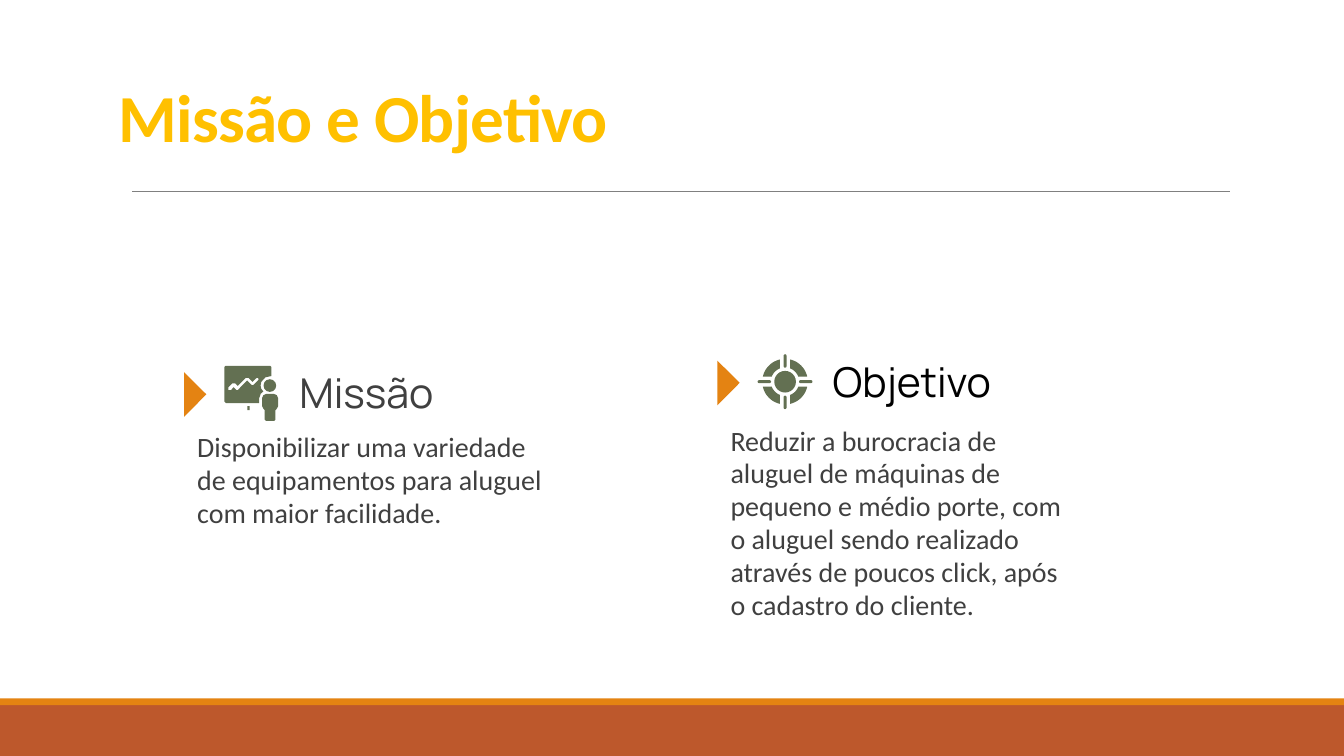
from math import asin, cos, pi, sin

from lxml.etree import SubElement
from pptx import Presentation
from pptx.dml.color import RGBColor
from pptx.enum.shapes import MSO_CONNECTOR as Link, MSO_SHAPE as Kind
from pptx.enum.text import MSO_ANCHOR as Anchor, MSO_AUTO_SIZE as Fit, PP_ALIGN as Align
from pptx.oxml.ns import qn
from pptx.util import Pt

WIDE, HIGH = 720, 405
HUES = {
    "title": "FFC000", "text": "404040", "black": "000000", "rule": "808080",
    "band": "BD582C", "accent": "E48312", "icon": "637052",
}

# Outlines in points, from the top left of the icon
BOARD = [
    (0, 0.7), (0.7, 0), (24.5, 0), (25.2, 0.7), (25.2, 5.5), (22, 6.2),
    (19.8, 8.6), (19.4, 10.6), (19.8, 12.4), (20.9, 13.7), (19.5, 15),
    (18.7, 17.3), (18.7, 20), (0.9, 20), (0, 19.2),
]
CURVE = [
    (18, 7.9), (15.8, 10.1), (15.1, 10.5), (14.4, 10.1), (12.2, 7.9), (7.2, 13),
    (6.5, 13), (5, 11.5), (3.6, 13), (2.2, 13), (2.2, 11.5), (4.3, 9.4),
    (5.8, 9.4), (7.2, 10.8), (11.5, 6.5), (13, 6.5), (15.1, 8.6), (17.3, 6.5),
    (18, 6.5), (18.4, 7.2),
]
HALF = [
    (2.2, 15.1), (3.6, 15.8), (4.3, 17.3), (4.3, 21.6), (3.6, 23),
    (2.9, 23.8), (2.9, 28.8), (2.2, 29.5),
]
BODY = [(24.5 + x, y) for x, y in HALF] + [(24.5 - x, y) for x, y in reversed(HALF)]


def color(name):
    return RGBColor.from_string(HUES[name])


def paint(shape, hue):
    shape.shadow.inherit = False
    shape.fill.solid()
    shape.fill.fore_color.rgb = color(hue)
    shape.line.fill.background()
    return shape


def block(slide, kind, box, hue):
    return paint(slide.shapes.add_shape(kind, *map(Pt, box)), hue)


def outline(slide, x, y, rings, hue):
    """Draw closed rings as one shape; an inner ring is a hole."""
    rings = [[(Pt(x + a), Pt(y + b)) for a, b in ring] for ring in rings]
    pen = slide.shapes.build_freeform(*rings[0][0])
    for i, ring in enumerate(rings):
        if i:
            pen.move_to(*ring[0])
        pen.add_line_segments(ring[1:], close=True)
    return paint(pen.convert_to_shape(), hue)


def write(frame, text, size, font, hue, bold=False):
    frame.word_wrap = True
    frame.auto_size = Fit.NONE
    frame.margin_left = frame.margin_right = frame.margin_top = Pt(7.2)
    para = frame.paragraphs[0]
    para.alignment = Align.LEFT
    run = para.add_run()
    run.text = text
    run.font.size, run.font.name, run.font.bold = Pt(size), font, bold
    run.font.color.rgb = color(hue)
    return run


def label(slide, box, text, size, font, hue, anchor=Anchor.TOP):
    frame = slide.shapes.add_textbox(*map(Pt, box)).text_frame
    write(frame, text, size, font, hue)
    frame.margin_bottom = 0
    frame.vertical_anchor = anchor
    return frame


def footer(slide, top):
    block(slide, Kind.RECTANGLE, (0, top + 3.6, WIDE, HIGH - top - 3.6), "band")
    block(slide, Kind.RECTANGLE, (0, top, WIDE, 3.6), "accent")


def header(slide, x, y, w, h):
    title = slide.shapes.title
    title.left, title.top, title.width, title.height = map(Pt, (x, y, w, h))
    frame = title.text_frame
    run = write(frame, "Missão e Objetivo", 36, "Calibri", "title", True)
    run.font._element.set("spc", "-40")
    frame.margin_bottom = Pt(7.2)
    frame.vertical_anchor = Anchor.TOP
    ends = (x + 14.6, y + 69.4, x + 602.8, y + 69.4)
    rule = slide.shapes.add_connector(Link.STRAIGHT, *map(Pt, ends))
    rule.line.color.rgb = color("rule")
    rule.line.width = Pt(0.5)
    SubElement(rule._element.spPr, qn("a:effectLst"))


def speaker(slide, x, y):
    """Person in front of a board."""
    outline(slide, x, y, [BOARD, CURVE], "icon")
    outline(slide, x, y, [BODY], "icon")
    block(slide, Kind.OVAL, (x + 21, y + 7.2, 6.8, 6.8), "icon")
    block(slide, Kind.RECTANGLE, (x + 12.4, y + 21.6, 1.2, 2.2), "icon")


def target(slide, x, y):
    """Disc, four ring sectors and four rays."""
    mid, disc, gap, ray, thick = 14.7, 5.8, 2.7, 7.2, 1.6
    cx, cy = x + mid, y + mid

    def arc(radius, turn, steps=12):
        edge = asin(gap / radius)
        span = pi / 2 - 2 * edge
        angles = [turn + edge + span * i / steps for i in range(steps + 1)]
        return [(radius * cos(a), radius * sin(a)) for a in angles]

    block(slide, Kind.OVAL, (cx - disc, cy - disc, 2 * disc, 2 * disc), "icon")
    for quarter in range(4):
        turn = quarter * pi / 2
        outline(slide, cx, cy, [arc(12.2, turn) + arc(7.6, turn)[::-1]], "icon")
    far = 2 * mid - ray
    side = mid - thick / 2
    for a, b, w, h in ((0, side, ray, thick), (far, side, ray, thick),
                       (side, 0, thick, ray), (side, far, thick, ray)):
        bar = block(slide, Kind.ROUNDED_RECTANGLE, (x + a, y + b, w, h), "icon")
        bar.adjustments[0] = 0.5


def column(slide, x, y, icon, head, hue, text, drop, high):
    """Arrow, icon and heading in a row, with the text drop points below."""
    outline(slide, x, y, [[(0, 0), (12, 11.9), (0, 23.9)]], "accent")
    icon(slide, x + 21.6, y - 3.4)
    label(slide, (x + 54.7, y - 10.6, 199.4, 34.6), head, 22, "Manrope", hue,
          Anchor.BOTTOM)
    frame = label(slide, (x, y + drop, 199.4, high), text, 15, "Calibri", "text")
    frame.paragraphs[0].line_spacing = 0.98


def main():
    deck = Presentation()
    deck.slide_width, deck.slide_height = Pt(WIDE), Pt(HIGH)
    slide = deck.slides.add_slide(deck.slide_layouts[5])
    footer(slide, 374.2)
    header(slide, 56.2, 33.1, 607.7, 45.4)
    column(slide, 98.6, 199.4, speaker, "Missão", "text",
           "Disponibilizar uma variedade de equipamentos para aluguel "
           "com maior facilidade.", 24.5, 81.4)
    column(slide, 384.3, 193.2, target, "Objetivo", "black",
           "Reduzir a burocracia de aluguel de máquinas de pequeno e médio "
           "porte, com o aluguel sendo realizado através de poucos click, "
           "após o cadastro do cliente.", 27.1, 116.6)
    deck.save("out.pptx")


if __name__ == "__main__":
    main()
